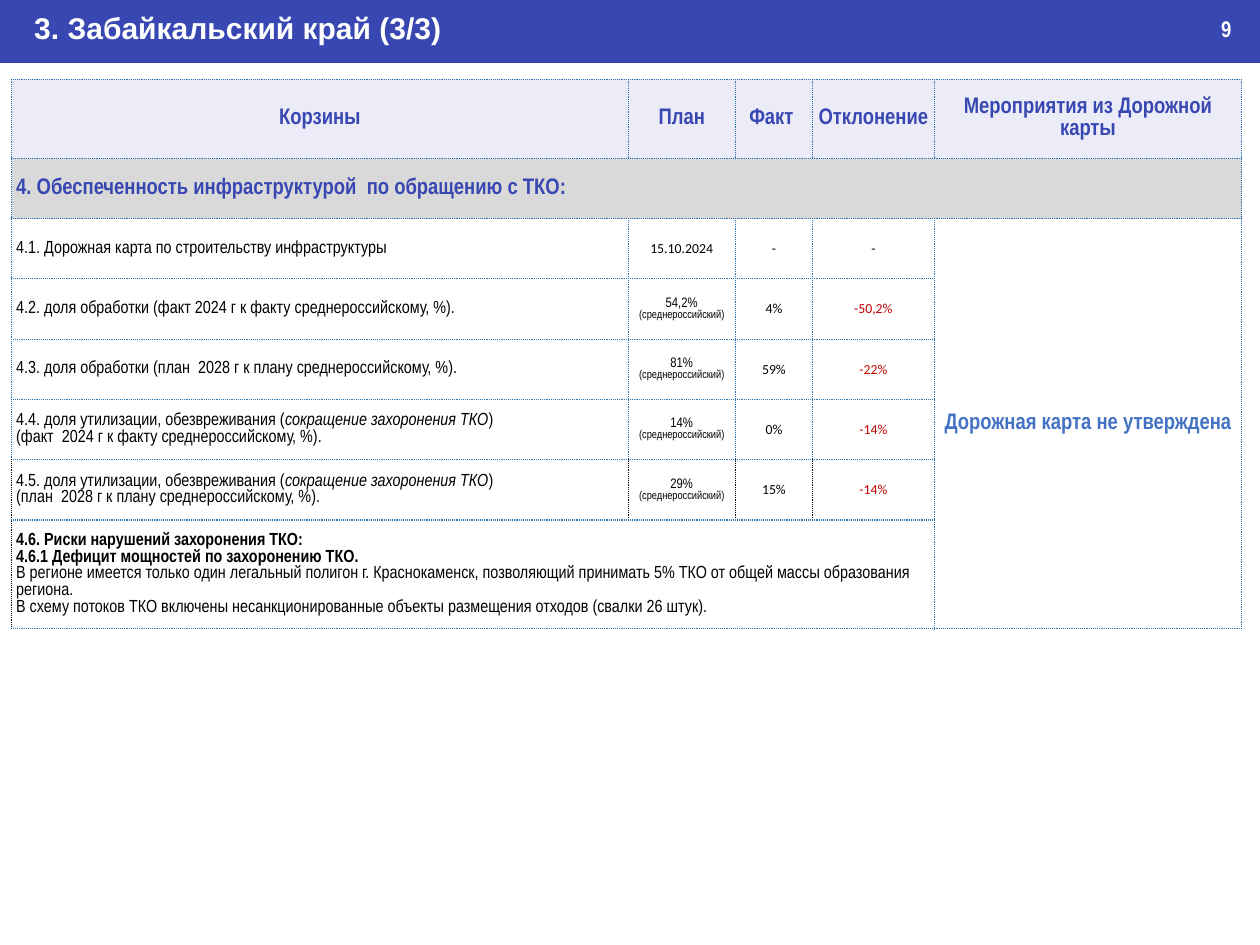
from dataclasses import dataclass
from lxml import etree
from pptx import Presentation, util as u
from pptx.dml.color import RGBColor
from pptx.enum import shapes, text
from pptx.oxml import ns

INDIGO, LAVENDER, GREY = "3847B1", "EBECF7", "D9D9D9"
BLUE, DOT_BLUE, RED, BLACK, WHITE = "4472C4", "2E75B6", "C00000", "000000", "FFFFFF"
NARROW = "Arial Narrow"


def rgb(value):
    return RGBColor.from_string(value)


@dataclass(frozen=True)
class Look:
    size: float = 14
    color: str = BLACK
    bold: bool = False
    italic: bool = False
    font: str = NARROW


BODY, BOLD, ITALIC = Look(), Look(bold=True), Look(italic=True)
HEADING = Look(18, INDIGO, True)
VERDICT = Look(18, BLUE, True)
PLAN, NOTE = Look(11), Look(9)
FIGURE = Look(11, font="Calibri")
GAP = Look(11, RED, font="Calibri")


class Board:
    def __init__(self, slide):
        self.slide = slide

    def add_text(self, frame, paragraphs, centred=False):
        for index, runs in enumerate(paragraphs):
            paragraph = frame.paragraphs[0] if index == 0 else frame.add_paragraph()
            paragraph.alignment = text.PP_ALIGN.CENTER if centred else text.PP_ALIGN.LEFT
            for words, look in runs:
                for line_number, line in enumerate(words.split("\n")):
                    if line_number:
                        paragraph.add_line_break()
                    run = paragraph.add_run()
                    run.text = line
                    font = run.font
                    font.size, font.name = u.Pt(look.size), look.font
                    font.bold, font.italic = look.bold, look.italic
                    font.color.rgb = rgb(look.color)

    def band(self, left, top, width, height, color):
        band = self.slide.shapes.add_shape(
            shapes.MSO_SHAPE.RECTANGLE, *map(u.Inches, (left, top, width, height)))
        band.shadow.inherit = False
        band.fill.solid()
        band.fill.fore_color.rgb = rgb(color)
        band.line.fill.background()

    def label(self, left, top, width, height, words, look, inset=0.1):
        frame = self.slide.shapes.add_textbox(
            *map(u.Inches, (left, top, width, height))).text_frame
        frame.word_wrap = True
        frame.margin_left = u.Inches(inset)
        self.add_text(frame, [[(words, look)]])

    def table(self, left, top, widths, heights):
        table = self.slide.shapes.add_table(
            len(heights), len(widths),
            *map(u.Inches, (left, top, sum(widths), sum(heights)))).table
        table.first_row = table.horz_banding = False
        for column, width in zip(table.columns, widths):
            column.width = u.Inches(width)
        for row, height in zip(table.rows, heights):
            row.height = u.Inches(height)
        return table

    def edges(self, cell, black_sides=""):
        properties = cell._tc.get_or_add_tcPr()
        for side in "LRTB":
            line = etree.SubElement(properties, ns.qn("a:ln" + side), w=str(u.Pt(1)))
            paint = etree.SubElement(line, ns.qn("a:solidFill"))
            color = BLACK if side in black_sides else DOT_BLUE
            etree.SubElement(paint, ns.qn("a:srgbClr"), val=color)
            etree.SubElement(line, ns.qn("a:prstDash"), val="sysDot")

    def paint(self, cell, color=None):
        if color:
            cell.fill.solid()
            cell.fill.fore_color.rgb = rgb(color)
        else:
            cell.fill.background()

    def fill_cell(self, cell, paragraphs, centred=True):
        cell.vertical_anchor = text.MSO_ANCHOR.MIDDLE
        cell.margin_left = cell.margin_right = u.Inches(0.05)
        cell.margin_top = cell.margin_bottom = u.Inches(0.02)
        self.add_text(cell.text_frame, paragraphs, centred)


def disposal(number, basis):
    return [(f"{number} доля утилизации, обезвреживания (", BODY),
            ("сокращение захоронения ТКО", ITALIC),
            (f") \n({basis} среднероссийскому, %).", BODY)]


def average(share):
    return [[(share, PLAN)], [("(среднероссийский)", NOTE)]]


HEADINGS = ["Корзины", "План", "Факт ", "Отклонение", "Мероприятия из Дорожной карты"]
MEASURES = [
    ([("4.1. Дорожная карта по строительству инфраструктуры", BODY)],
     [[("15.10.2024", FIGURE)]], "-", ("-", FIGURE)),
    ([("4.2. доля обработки (факт 2024 г к факту среднероссийскому, %).", BODY)],
     average("54,2%"), "4%", ("-50,2%", GAP)),
    ([("4.3. доля обработки (план  2028 г к плану среднероссийскому, %).", BODY)],
     average("81%"), "59%", ("-22%", GAP)),
    (disposal("4.4.", "факт  2024 г к факту"), average("14%"), "0%", ("-14%", GAP)),
    (disposal("4.5.", "план  2028 г к плану"), average("29%"), "15%", ("-14%", GAP)),
]
RISKS = [
    [("4.6. Риски нарушений захоронения ТКО:", BOLD)],
    [("4.6.1 Дефицит мощностей по захоронению ТКО.", BOLD)],
    [("В регионе имеется только один легальный полигон г. Краснокаменск, позволяющий "
      "принимать 5% ТКО от общей массы образования региона.", BODY)],
    [("В схему потоков ТКО включены несанкционированные объекты размещения отходов "
      "(свалки 26 штук).", BODY)],
]


def black_sides(row, column):
    if column == 4:
        return "B" if row == 7 else ""
    if row == 6:
        return "L" if column == 3 else "LR"
    return "LR" if row == 7 else ""


def main():
    deck = Presentation()
    deck.slide_width, deck.slide_height = u.Inches(14), u.Inches(10.5)
    board = Board(deck.slides.add_slide(deck.slide_layouts[6]))

    board.band(0, 0, 14, 0.7, INDIGO)
    board.label(-0.01, 0.06, 13.99, 0.5, "3. Забайкальский край (3/3)",
                Look(24, WHITE, True, font="Arial"), inset=0.39)
    board.label(13.47, 0.12, 0.52, 0.4, "9", Look(18, WHITE, True))

    baskets = board.table(0.13, 0.88, [6.85, 1.19, 0.86, 1.35, 3.42],
                          [0.88] + [0.67] * 6 + [1.21])
    for row in range(8):
        for column in range(5):
            cell = baskets.cell(row, column)
            board.edges(cell, black_sides(row, column))
            board.paint(cell, {0: LAVENDER, 1: GREY}.get(row))
    baskets.cell(1, 0).merge(baskets.cell(1, 4))
    baskets.cell(2, 4).merge(baskets.cell(7, 4))
    baskets.cell(7, 0).merge(baskets.cell(7, 3))

    for column, heading in enumerate(HEADINGS):
        board.fill_cell(baskets.cell(0, column), [[(heading, HEADING)]])
    board.fill_cell(baskets.cell(1, 0), [[(
        "4. Обеспеченность инфраструктурой  по обращению с ТКО:", HEADING)]], centred=False)
    for row, (measure, plan, fact, deviation) in enumerate(MEASURES, 2):
        board.fill_cell(baskets.cell(row, 0), [measure], centred=False)
        board.fill_cell(baskets.cell(row, 1), plan)
        board.fill_cell(baskets.cell(row, 2), [[(fact, FIGURE)]])
        board.fill_cell(baskets.cell(row, 3), [[deviation]])
    board.fill_cell(baskets.cell(2, 4), [[("Дорожная карта не утверждена", VERDICT)]])
    board.fill_cell(baskets.cell(7, 0), RISKS, centred=False)

    deck.save("out.pptx")


if __name__ == "__main__":
    main()
